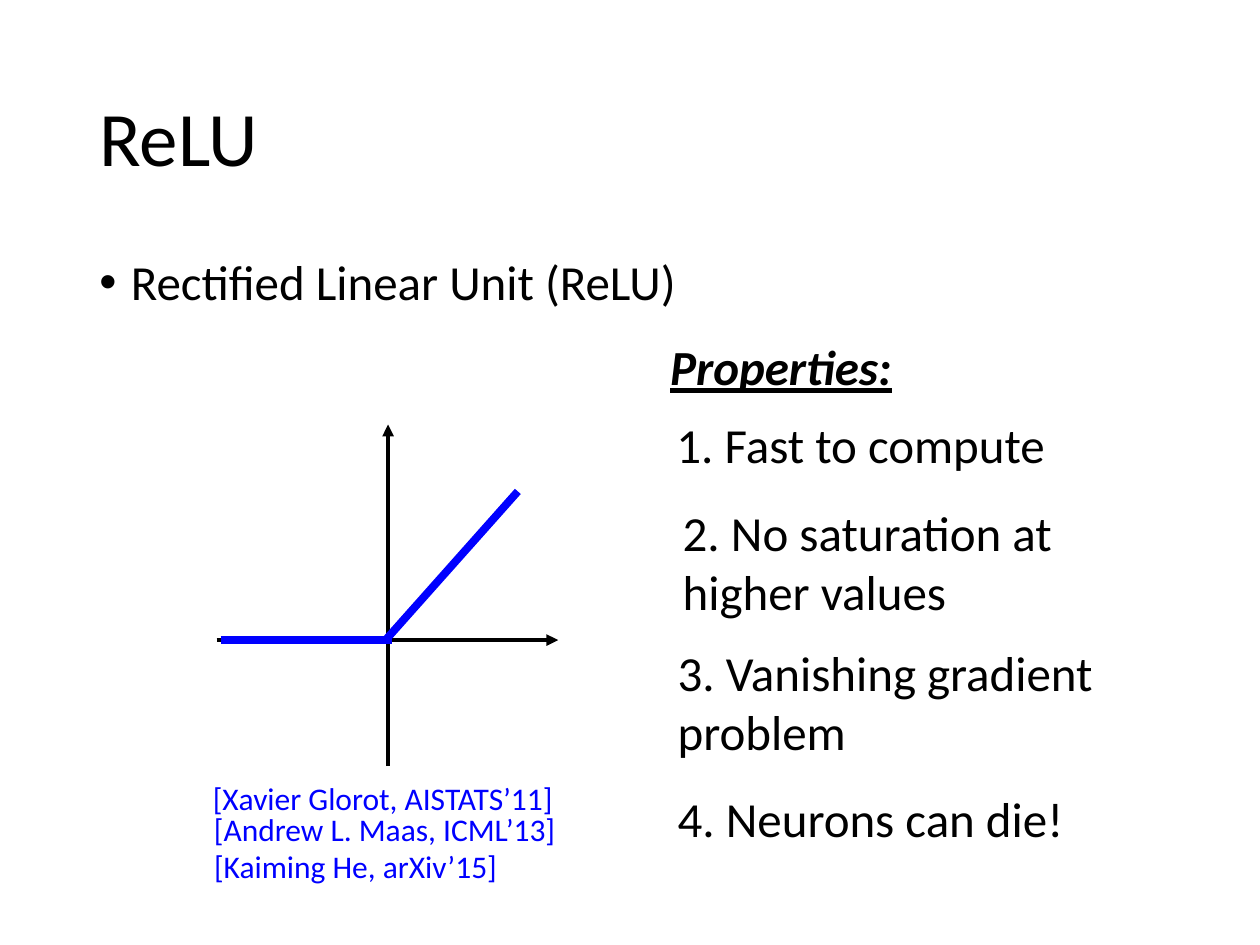
from dataclasses import dataclass

from lxml.etree import SubElement
from pptx import Presentation
from pptx.dml.color import RGBColor
from pptx.enum.shapes import MSO_CONNECTOR
from pptx.enum.text import MSO_ANCHOR
from pptx.oxml.ns import qn
from pptx.util import Inches, Pt

# The slide is a grid of 100 columns by 75 rows
COLUMNS, ROWS = 100, 75
SLIDE_WIDTH, SLIDE_HEIGHT = Inches(10), Inches(7.5)


@dataclass(frozen=True)
class Theme:
    font: str = "Calibri"
    ink: RGBColor = RGBColor(0, 0, 0)
    accent: RGBColor = RGBColor(0, 0, 255)
    title: int = 44
    body: int = 28
    citation: int = 18
    axis_width: float = 2.25
    curve_width: float = 4.5


THEME = Theme()


def across(columns):
    return round(SLIDE_WIDTH * columns / COLUMNS)


def down(rows):
    return round(SLIDE_HEIGHT * rows / ROWS)


def add_bullet(paragraph, indent):
    properties = paragraph._p.get_or_add_pPr()
    properties.set("marL", str(indent))
    properties.set("indent", str(-indent))
    SubElement(properties, qn("a:buFont")).set("typeface", "Arial")
    SubElement(properties, qn("a:buChar")).set("char", "•")


def add_text(slide, text, box, *, size=THEME.body, color=THEME.ink, emphasis=False,
             bullet=False, wrap=True, spacing=1.0, anchor=MSO_ANCHOR.TOP):
    left, top, width, height = box
    shape = slide.shapes.add_textbox(across(left), down(top), across(width), down(height))
    frame = shape.text_frame
    frame.word_wrap = wrap
    frame.vertical_anchor = anchor
    frame.text = text
    for paragraph in frame.paragraphs:
        paragraph.line_spacing = spacing
        if bullet:
            add_bullet(paragraph, across(2.5))
        font = paragraph.font
        font.name, font.size = THEME.font, Pt(size)
        font.color.rgb = color
        if emphasis:
            font.bold = font.italic = font.underline = True


def add_line(group, start, end, *, color, width, arrow=False):
    connector = group.shapes.add_connector(
        MSO_CONNECTOR.STRAIGHT,
        across(start[0]), down(start[1]), across(end[0]), down(end[1]))
    connector.line.color.rgb = color
    connector.line.width = Pt(width)
    if arrow:
        outline = connector.line._get_or_add_ln()
        SubElement(outline, qn("a:tailEnd")).set("type", "triangle")
    SubElement(connector._element.spPr, qn("a:effectLst"))


def add_relu_plot(slide):
    group = slide.shapes.add_group_shape()
    origin_x, origin_y = 30.8, 50.8
    # Axes
    axis = dict(color=THEME.ink, width=THEME.axis_width, arrow=True)
    add_line(group, (17.2, origin_y), (44.3, origin_y), **axis)
    add_line(group, (origin_x, 60.8), (origin_x, 33.7), **axis)
    # Flat and rising halves overlap slightly to close the corner
    curve = dict(color=THEME.accent, width=THEME.curve_width)
    add_line(group, (17.5, origin_y), (origin_x + 0.3, origin_y), **curve)
    add_line(group, (origin_x - 0.2, origin_y), (41.1, 39), **curve)


def add_properties(slide):
    add_text(slide, "Properties:", (52.2, 26.2, 36.2, 5.7), emphasis=True)
    properties = [
        ("1. Fast to compute", (52.7, 32.4, 36.2, 5.7)),
        ("2. No saturation at\nhigher values", (53.2, 39.4, 46.8, 10.4)),
        ("3. Vanishing gradient problem", (52.8, 50.5, 47.2, 10.4)),
        ("4. Neurons can die!", (52.8, 62.1, 36.2, 5.7)),
    ]
    for text, box in properties:
        add_text(slide, text, box)


def add_citations(slide):
    citations = [
        ("[Xavier Glorot, AISTATS’11]", (15.9, 61.3, 29.2, 4)),
        ("[Andrew L. Maas, ICML’13]", (16, 63.8, 29.4, 4)),
        ("[Kaiming He, arXiv’15]", (16, 66.7, 24.8, 4)),
    ]
    for text, box in citations:
        add_text(slide, text, box, size=THEME.citation, color=THEME.accent, wrap=False)


def main():
    presentation = Presentation()
    presentation.slide_width, presentation.slide_height = SLIDE_WIDTH, SLIDE_HEIGHT
    slide = presentation.slides.add_slide(presentation.slide_layouts[6])

    # Heading and topic
    add_text(slide, "ReLU", (6.9, 4, 86.2, 14.5), size=THEME.title,
             spacing=0.9, anchor=MSO_ANCHOR.MIDDLE)
    add_text(slide, "Rectified Linear Unit (ReLU)", (6.9, 20, 86.2, 47.6),
             bullet=True, spacing=0.9)

    # Properties on the right, plot and its citations on the left
    add_properties(slide)
    add_relu_plot(slide)
    add_citations(slide)
    presentation.save("out.pptx")


if __name__ == "__main__":
    main()
